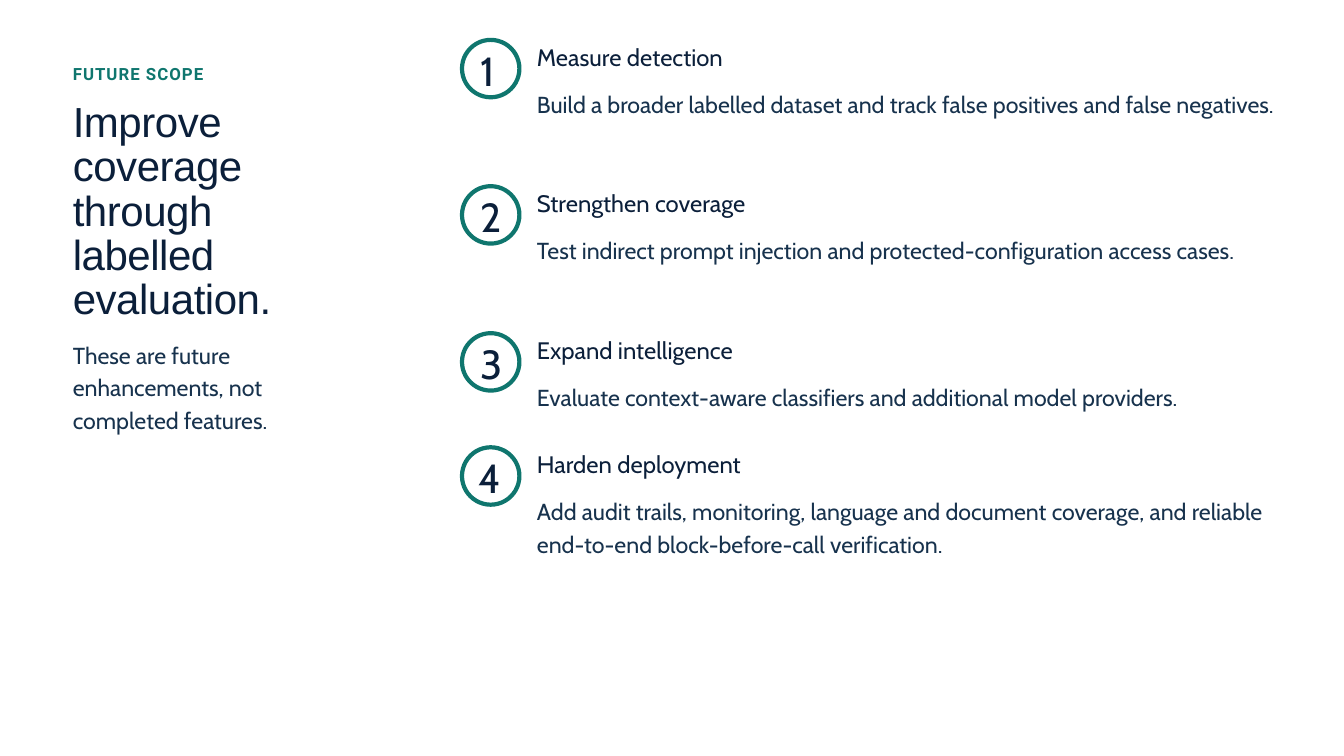
from pptx import Presentation
from pptx.dml.color import RGBColor
from pptx.enum.shapes import MSO_SHAPE
from pptx.enum.text import MSO_AUTO_SIZE
from pptx.util import Emu, Pt

PX = 9525
NAVY, SLATE, TEAL, WHITE = "0B1F3A", "17324D", "0F766E", "FFFFFF"

EYEBROW = {"name": "Roboto", "size": 18, "bold": True, "color": TEAL, "leading": 22.5, "spacing": 110}
HEADLINE = {"name": "Arial", "size": 45, "color": NAVY, "leading": 47.5, "spacing": -50}
BODY = {"name": "Cabin", "size": 24.8, "color": SLATE, "leading": 35.1}
NUMBER = {"name": "Cabin", "size": 43.5, "color": NAVY, "leading": 43.4}
LABEL = {"name": "Cabin", "size": 25.5, "color": NAVY, "leading": 33.1}

STEPS = [
    (57, 687, 288, 100, "Measure detection",
     "Build a broader labelled dataset and track false positives and false negatives."),
    (266, 686, 319, 100, "Strengthen coverage",
     "Test indirect prompt injection and protected-configuration access cases."),
    (476, 686, 303, 53, "Expand intelligence",
     "Evaluate context-aware classifiers and additional model providers."),
    (639, 684, 308, 100, "Harden deployment",
     "Add audit trails, monitoring, language and document coverage, and reliable "
     "end-to-end block-before-call verification."),
]


def px(*values):
    return [Emu(v * PX) for v in values]


def rgb(color):
    return RGBColor.from_string(color)


def add_text(s, box, text, style):
    tf = s.shapes.add_textbox(*px(*box)).text_frame
    frame = {"word_wrap": True, "auto_size": MSO_AUTO_SIZE.SHAPE_TO_FIT_TEXT,
             "margin_left": 0, "margin_top": 0, "margin_right": 0, "margin_bottom": 0}
    for key, value in frame.items():
        setattr(tf, key, value)
    p = tf.paragraphs[0]
    p.line_spacing = Pt(style["leading"])
    r = p.add_run()
    r.text = text
    font = {"name": style["name"], "size": Pt(style["size"]), "bold": style.get("bold", False)}
    for key, value in font.items():
        setattr(r.font, key, value)
    r.font.color.rgb = rgb(style["color"])
    if "spacing" in style:
        r._r.get_or_add_rPr().set("spc", str(style["spacing"]))


def add_ring(s, left, top, size):
    sp = s.shapes.add_shape(MSO_SHAPE.OVAL, *px(left, top, size, size))
    sp.shadow.inherit = False
    sp.fill.solid()
    sp.fill.fore_color.rgb = rgb(WHITE)
    sp.line.color.rgb = rgb(TEAL)
    sp.line.width = Pt(4.5)


def add_step(s, number, step):
    top, number_left, label_width, body_height, label, body = step
    add_ring(s, 660, top, 82)
    add_text(s, (number_left, top + 20, 126, 50), str(number), NUMBER)
    add_text(s, (767, top, label_width, 45), label, LABEL)
    add_text(s, (767, top + 65, 1059, body_height), body, BODY)


def main():
    prs = Presentation()
    prs.slide_width, prs.slide_height = px(1920, 1080)
    s = prs.slides.add_slide(prs.slide_layouts[6])
    s.background.fill.solid()
    s.background.fill.fore_color.rgb = rgb(WHITE)
    add_text(s, (104, 90, 451, 32), "FUTURE SCOPE", EYEBROW)
    add_text(s, (104, 145, 395, 314), "Improve coverage through labelled evaluation.", HEADLINE)
    add_text(s, (104, 480, 395, 147), "These are future enhancements, not completed features.", BODY)
    for number, step in enumerate(STEPS, 1):
        add_step(s, number, step)
    prs.save("out.pptx")


if __name__ == "__main__":
    main()
